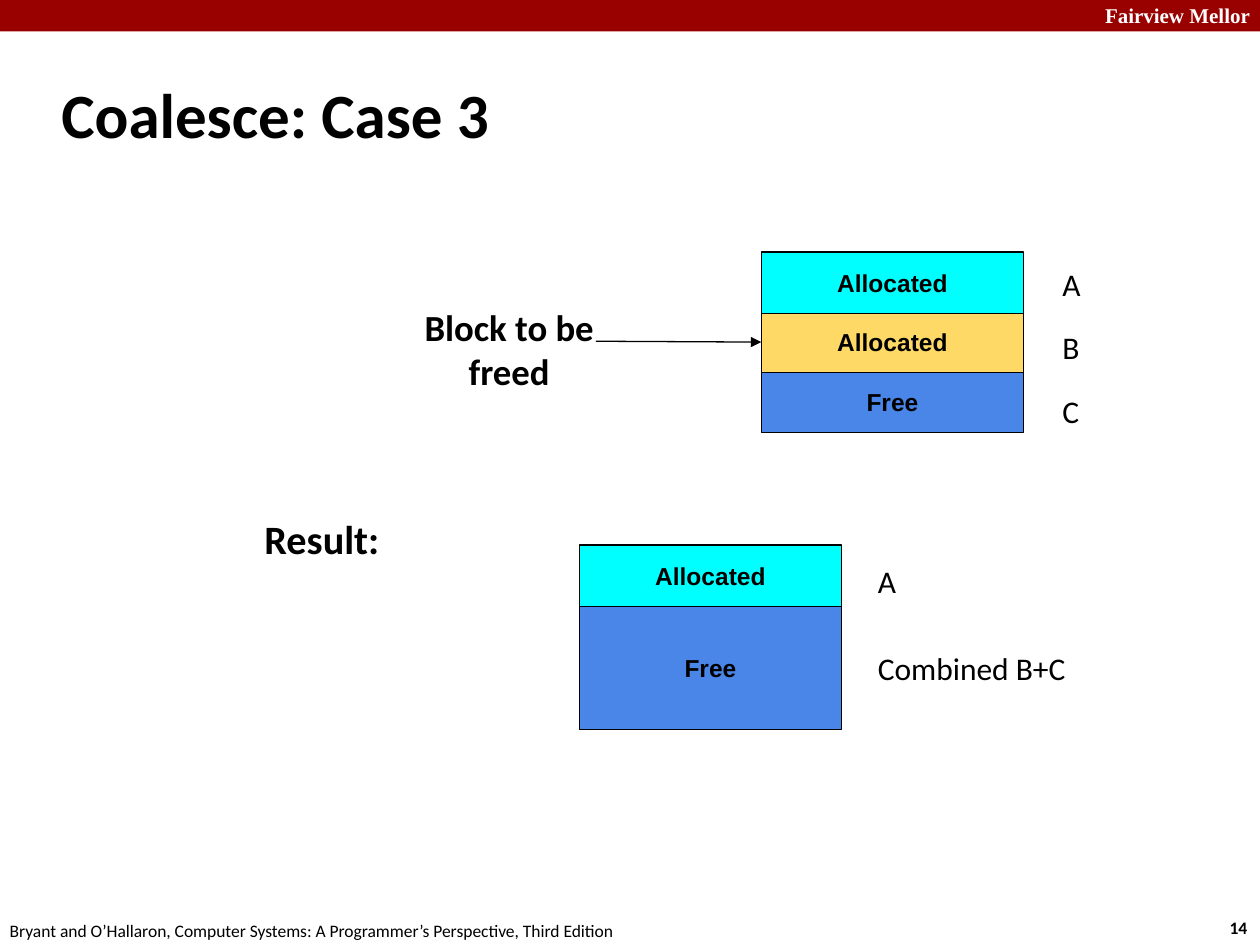
from dataclasses import dataclass

from lxml import etree
from pptx import Presentation
from pptx.dml.color import RGBColor
from pptx.enum.shapes import MSO_CONNECTOR, MSO_SHAPE
from pptx.enum.text import MSO_ANCHOR, PP_ALIGN
from pptx.oxml.ns import qn
from pptx.util import Pt

RECTANGLE = MSO_SHAPE.RECTANGLE
STRAIGHT = MSO_CONNECTOR.STRAIGHT
TOP, MIDDLE = MSO_ANCHOR.TOP, MSO_ANCHOR.MIDDLE
LEFT, CENTER, RIGHT = PP_ALIGN.LEFT, PP_ALIGN.CENTER, PP_ALIGN.RIGHT
LEFT_SIDE = 1


@dataclass(frozen=True)
class Theme:
    banner: str = "990000"
    ink: str = "000000"
    paper: str = "FFFFFF"
    allocated: str = "00FFFF"
    freeing: str = "FFD966"
    free: str = "4A86E8"
    body_font: str = "Calibri"
    block_font: str = "Arial"
    banner_font: str = "Times New Roman"
    title_size: int = 36
    result_size: int = 23
    callout_size: int = 21
    label_size: int = 18
    block_size: int = 14
    banner_size: int = 12
    footer_size: int = 10
    line_width: float = 0.75
    inset: float = 7.2
    tight_inset: float = 3.6


class SlideBuilder:
    def __init__(self, slide, theme):
        self.slide = slide
        self.theme = theme

    def set_text(self, shape, text, size, font=None, color=None, bold=False,
                 align=LEFT, anchor=TOP, vertical_inset=None):
        theme = self.theme
        if vertical_inset is None:
            vertical_inset = theme.inset
        text_frame = shape.text_frame
        text_frame.word_wrap = True
        text_frame.vertical_anchor = anchor
        text_frame.margin_left = text_frame.margin_right = Pt(theme.inset)
        text_frame.margin_top = text_frame.margin_bottom = Pt(vertical_inset)
        text_frame.text = text
        paragraph = text_frame.paragraphs[0]
        paragraph.alignment = align
        for run in paragraph.runs:
            run.font.name = font or theme.body_font
            run.font.size = Pt(size)
            run.font.bold = bold
            run.font.color.rgb = RGBColor.from_string(color or theme.ink)

    def text(self, left, top, width, height, text, size, **style):
        shape = self.slide.shapes.add_textbox(Pt(left), Pt(top), Pt(width), Pt(height))
        self.set_text(shape, text, size, **style)

    def rectangle(self, left, top, width, height, fill):
        shape = self.slide.shapes.add_shape(
            RECTANGLE, Pt(left), Pt(top), Pt(width), Pt(height))
        shape.shadow.inherit = False
        shape.fill.solid()
        shape.fill.fore_color.rgb = RGBColor.from_string(fill)
        shape.line.fill.background()
        return shape

    def block(self, left, top, width, height, text, fill):
        shape = self.rectangle(left, top, width, height, fill)
        shape.line.color.rgb = RGBColor.from_string(self.theme.ink)
        shape.line.width = Pt(self.theme.line_width)
        self.set_text(shape, text, self.theme.block_size, font=self.theme.block_font,
                      bold=True, align=CENTER, anchor=MIDDLE)
        return shape

    def arrow_to(self, left, top, block):
        connector = self.slide.shapes.add_connector(
            STRAIGHT, Pt(left), Pt(top), block.left, block.top + block.height // 2)
        connector.end_connect(block, LEFT_SIDE)
        connector.line.color.rgb = RGBColor.from_string(self.theme.ink)
        connector.line.width = Pt(self.theme.line_width)
        properties = connector.element.spPr
        etree.SubElement(properties.find(qn("a:ln")), qn("a:tailEnd"), type="triangle")
        etree.SubElement(properties, qn("a:effectLst"))


def add_frame(builder):
    theme = builder.theme
    tight = theme.tight_inset
    builder.rectangle(0, 0, 720, 18, theme.banner)
    builder.text(602, -2, 119.5, 22, "Fairview Mellor", theme.banner_size,
                 font=theme.banner_font, color=theme.paper, bold=True,
                 align=RIGHT, vertical_inset=tight)
    builder.text(695.5, 520.5, 27, 19.5, "14", theme.footer_size,
                 bold=True, vertical_inset=tight)
    builder.text(-1.5, 522, 366, 19.5,
                 "Bryant and O’Hallaron, Computer Systems: "
                 "A Programmer’s Perspective, Third Edition",
                 theme.footer_size, vertical_inset=tight)
    builder.text(28, 34.5, 598, 60, "Coalesce: Case 3", theme.title_size,
                 bold=True, anchor=MIDDLE, vertical_inset=tight)


def add_heap_before(builder):
    theme = builder.theme
    top, block_step, label_step = 144, 34, 36.4
    heap = [
        ("A", "Allocated", theme.allocated),
        ("B", "Allocated", theme.freeing),
        ("C", "Free", theme.free),
    ]
    blocks = {}
    for row, (name, state, fill) in reversed(list(enumerate(heap))):
        blocks[name] = builder.block(
            435, top + row * block_step, 150, 35, state, fill)
        builder.text(600, top + row * label_step, 26, 24, name, theme.label_size)
    builder.arrow_to(340.5, 195, blocks["B"])
    builder.text(227, 167, 128, 81, "Block to be freed", theme.callout_size,
                 bold=True, align=CENTER)


def add_heap_after(builder):
    theme = builder.theme
    heap = [
        ("Combined B+C", 363.5, "Free", 346.5, 70.5, theme.free),
        ("A", 314, "Allocated", 311.5, 35, theme.allocated),
    ]
    builder.text(144, 286.5, 143, 53, "Result:", theme.result_size, bold=True)
    for name, label_top, state, top, height, fill in heap:
        builder.block(331, top, 150, height, state, fill)
        builder.text(494.5, label_top, 123, 30, name, theme.label_size)


def main():
    presentation = Presentation()
    presentation.slide_width = Pt(720)
    presentation.slide_height = Pt(540)
    slide = presentation.slides.add_slide(presentation.slide_layouts[6])
    builder = SlideBuilder(slide, Theme())
    add_frame(builder)
    add_heap_before(builder)
    add_heap_after(builder)
    presentation.save("out.pptx")


if __name__ == "__main__":
    main()
